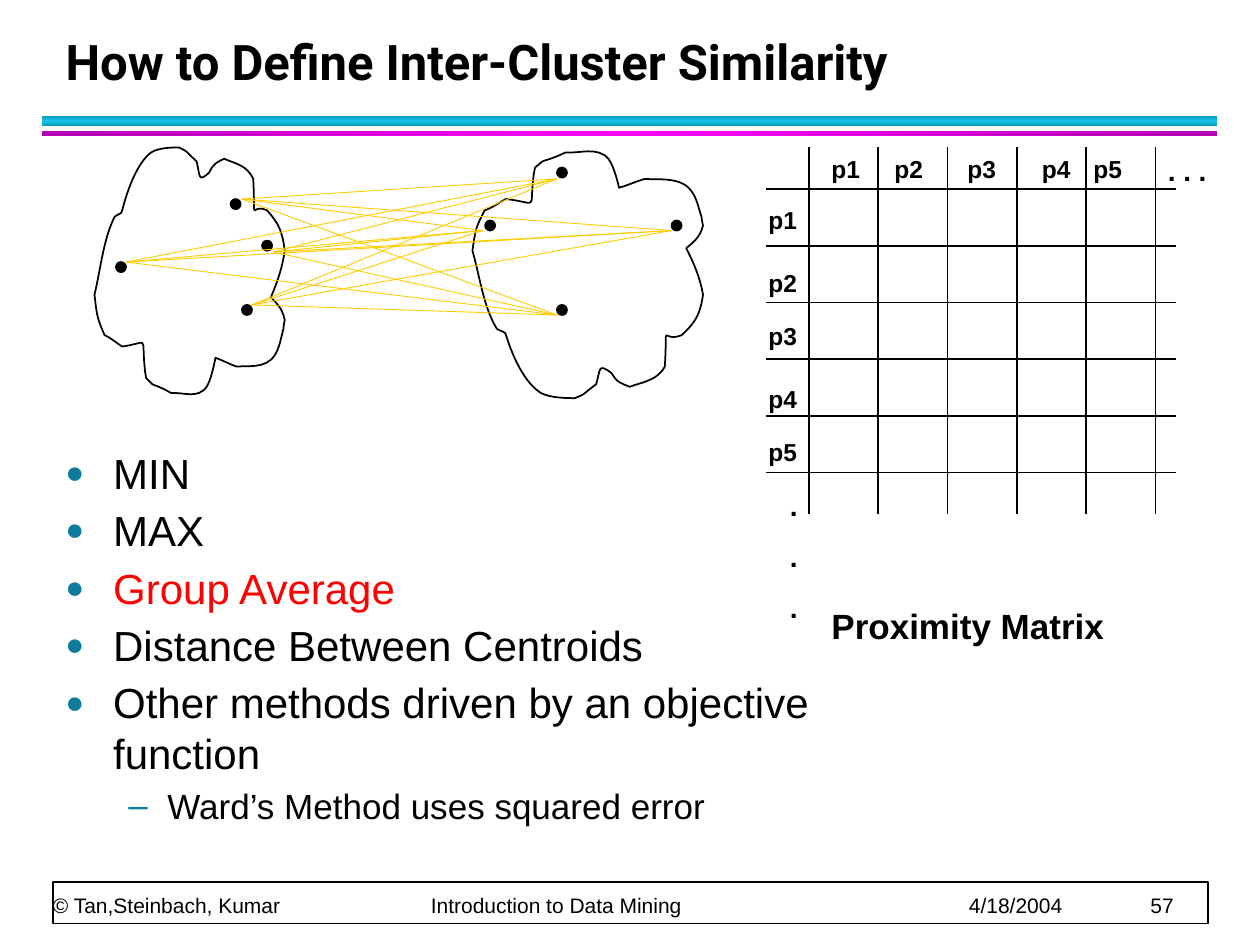
from copy import deepcopy
from dataclasses import dataclass

from lxml.etree import SubElement
from pptx import Presentation
from pptx.dml.color import RGBColor
from pptx.enum.shapes import MSO_CONNECTOR, MSO_SHAPE
from pptx.enum.text import MSO_ANCHOR, MSO_AUTO_SIZE, PP_ALIGN
from pptx.oxml.ns import qn
from pptx.util import Pt

PX = 9144  # EMU per px, 100 px to the inch
COLORS = {
    "black": "000000", "white": "FFFFFF", "red": "FF0000", "link": "FFCC00",
    "bullet": "0C7B9C", "cyan": "12C2E9", "dark cyan": "0E9BBA",
    "magenta": "FF00FF", "dark magenta": "B200B2",
}


@dataclass
class Dot:
    left: int
    top: int
    link_x: int
    link_y: int


@dataclass
class Bullet:
    text: str
    color: str = "black"
    level: int = 0


@dataclass
class BulletStyle:
    char: str
    margin: int
    hang: int
    percent: int
    size: int


LEFT_DOTS = [Dot(192, 242, 200, 242), Dot(208, 191, 217, 200),
             Dot(92, 208, 100, 208), Dot(183, 158, 192, 158)]
RIGHT_DOTS = [Dot(442, 242, 442, 250), Dot(385, 175, 383, 183),
              Dot(442, 133, 442, 142), Dot(533, 175, 533, 183)]

BULLETS = [Bullet("MIN"), Bullet("MAX"), Bullet("Group Average", "red"),
           Bullet("Distance Between Centroids"),
           Bullet("Other methods driven by an objective function"),
           Bullet("Ward’s Method uses squared error", level=1)]
BULLET_STYLES = [BulletStyle("●", 38, 38, 75, 24), BulletStyle("–", 81, 31, 100, 20)]

# Cluster outline: a start point, then two control points and an end per curve
CLUSTER_START = (91, 172)
CLUSTER_CURVES = [
    (82, 190, 80, 213, 75, 234), (77, 251, 77, 252, 83, 266),
    (88, 268, 92, 272, 97, 275), (119, 272, 112, 265, 115, 293),
    (115, 296, 116, 298, 116, 300), (123, 307, 119, 304, 126, 307),
    (129, 308, 136, 312, 136, 312), (145, 311, 157, 317, 164, 307),
    (168, 301, 171, 284, 171, 284), (177, 286, 182, 289, 188, 291),
    (196, 290, 211, 293, 218, 282), (222, 276, 223, 268, 225, 261),
    (225, 259, 226, 254, 226, 254), (224, 245, 221, 242, 215, 236),
    (220, 224, 224, 213, 226, 199), (224, 183, 221, 177, 212, 167),
    (198, 160, 203, 182, 201, 142), (196, 131, 187, 130, 178, 126),
    (172, 129, 170, 129, 166, 137), (157, 145, 159, 140, 156, 128),
    (145, 118, 150, 121, 142, 117), (138, 117, 126, 117, 120, 121),
    (109, 129, 101, 151, 97, 167), (97, 170, 93, 170, 91, 172),
]


def rgb(name: str) -> RGBColor:
    return RGBColor.from_string(COLORS[name])


def px(*lengths: float) -> list[int]:
    return [round(length * PX) for length in lengths]


def add_shape(slide, kind, box: tuple, fill: str, outlined: bool = True):
    shape = slide.shapes.add_shape(kind, *px(*box))
    shape.shadow.inherit = False
    shape.fill.solid()
    shape.fill.fore_color.rgb = rgb(fill)
    if outlined:
        shape.line.color.rgb = rgb("black")
        shape.line.width = Pt(1)
    else:
        shape.line.fill.background()
    return shape


def add_band(slide, box: tuple, edge: str, middle: str, angle: int) -> None:
    """Add a bar whose colour runs from edge to middle and back."""
    band = add_shape(slide, MSO_SHAPE.RECTANGLE, box, edge, outlined=False)
    band.fill.gradient()
    band.fill.gradient_angle = angle
    stop_list = band._element.spPr.find(".//" + qn("a:gsLst"))
    stop_list.append(deepcopy(stop_list[0]))
    for stop, position, color in zip(band.fill.gradient_stops, (0, 0.5, 1), (edge, middle, edge)):
        stop.position = position
        stop.color.rgb = rgb(color)


def add_line(slide, start: tuple, end: tuple, color: str = "black", width: float = 1) -> None:
    line = slide.shapes.add_connector(MSO_CONNECTOR.STRAIGHT, *px(*start, *end))
    line.line.color.rgb = rgb(color)
    line.line.width = Pt(width)
    SubElement(line._element.spPr, qn("a:effectLst"))


def format_font(paragraph, size: int, bold: bool = False, color: str = "black",
                name: str = "Arial") -> None:
    for run in paragraph.runs:
        run.font.name = name
        run.font.size = Pt(size)
        run.font.bold = bold
        run.font.color.rgb = rgb(color)


def add_text(slide, box: tuple, text: str, size: int, bold: bool = True, gap: int = 0):
    """Add a text box; gap is the space in points between its paragraphs."""
    text_frame = slide.shapes.add_textbox(*px(*box)).text_frame
    text_frame.word_wrap = True
    text_frame.text = text
    for index, paragraph in enumerate(text_frame.paragraphs):
        if index:
            paragraph.space_before = Pt(gap)
        format_font(paragraph, size, bold)
    return text_frame


def add_cluster(slide, left: int = 75, stretch: float = 1, flipped: bool = False) -> None:
    """Draw the outline through its curve ends, then bend each segment."""
    def place(x: int, y: int) -> tuple:
        return tuple(px(left + (x - 75) * stretch, 433 - y if flipped else y))

    builder = slide.shapes.build_freeform(*place(*CLUSTER_START), scale=1.0)
    builder.add_line_segments([place(*curve[4:]) for curve in CLUSTER_CURVES], close=True)
    outline = builder.convert_to_shape()
    outline.shadow.inherit = False
    outline.fill.background()
    outline.line.color.rgb = rgb("black")
    outline.line.width = Pt(1)
    segments = outline._element.spPr.findall(".//" + qn("a:lnTo"))
    for segment, curve in zip(segments, CLUSTER_CURVES):
        bend = SubElement(segment.getparent(), qn("a:cubicBezTo"))
        for index in (0, 2, 4):
            x, y = place(*curve[index:index + 2])
            SubElement(bend, qn("a:pt"), x=str(x - outline.left), y=str(y - outline.top))
        segment.getparent().replace(segment, bend)


def add_title(slide, text: str) -> None:
    title = slide.shapes.title
    title.left, title.top, title.width, title.height = px(42, 17, 906, 60)
    text_frame = title.text_frame
    text_frame.text = text
    text_frame.auto_size = MSO_AUTO_SIZE.NONE
    text_frame.vertical_anchor = MSO_ANCHOR.BOTTOM
    paragraph = text_frame.paragraphs[0]
    paragraph.alignment = PP_ALIGN.LEFT
    paragraph.line_spacing = Pt(36)
    format_font(paragraph, 28, bold=True, name="Roboto")


def add_footer(slide) -> None:
    add_shape(slide, MSO_SHAPE.RECTANGLE, (42, 700, 917, 33), "white")
    text = "© Tan,Steinbach, Kumar\tIntroduction to Data Mining\t4/18/2004\t57"
    text_frame = add_text(slide, (42, 672, 915, 56), text, 12, bold=False)
    text_frame.margin_left = text_frame.margin_right = 0
    text_frame.margin_top = text_frame.margin_bottom = 0
    text_frame.vertical_anchor = MSO_ANCHOR.BOTTOM
    paragraph = text_frame.paragraphs[0]
    tabs = SubElement(paragraph._p.get_or_add_pPr(), qn("a:tabLst"))
    for position in px(300, 727, 871):
        SubElement(tabs, qn("a:tab"), pos=str(position), algn="l")
    paragraph.line_spacing = Pt(20)


def add_matrix(slide) -> None:
    for index in range(6):
        x, y = 642 + 55 * index, 150 + 45 * index
        add_line(slide, (x, 117), (x, 408))
        add_line(slide, (608, y), (933, y))
    columns, rows = (650, 700, 758, 817, 858), (158, 208, 250, 300, 342)
    for number, (left, top) in enumerate(zip(columns, rows), start=1):
        add_text(slide, (left, 117, 58, 34), f"p{number}", 14)
        add_text(slide, (600, top, 58, 34), f"p{number}", 14)
    add_text(slide, (917, 117, 58, 37), ". . .", 16)
    add_text(slide, (617, 383, 58, 118), ".\n.\n.", 16, gap=10)
    add_text(slide, (650, 475, 275, 44), "Proximity Matrix", 20)


def add_clusters(slide) -> None:
    add_cluster(slide)
    add_cluster(slide, left=375, stretch=183 / 151, flipped=True)
    for dot in LEFT_DOTS + RIGHT_DOTS:
        add_shape(slide, MSO_SHAPE.OVAL, (dot.left, dot.top, 8, 8), "black")
    for start in LEFT_DOTS:
        for end in RIGHT_DOTS:
            add_line(slide, (start.link_x, start.link_y), (end.link_x, end.link_y), "link", 0.5)


def add_bullets(slide) -> None:
    text = "\n".join(bullet.text for bullet in BULLETS)
    text_frame = add_text(slide, (42, 350, 633, 342), text, 24, bold=False)
    for index, (paragraph, bullet) in enumerate(zip(text_frame.paragraphs, BULLETS)):
        style = BULLET_STYLES[bullet.level]
        paragraph.level = bullet.level
        properties = paragraph._p.get_or_add_pPr()
        properties.set("marL", str(style.margin * PX))
        properties.set("indent", str(-style.hang * PX))
        color = SubElement(properties, qn("a:buClr"))
        SubElement(color, qn("a:srgbClr"), val=COLORS["bullet"])
        SubElement(properties, qn("a:buSzPct"), val=str(style.percent * 1000))
        SubElement(properties, qn("a:buFont"), typeface="Arial")
        SubElement(properties, qn("a:buChar"), char=style.char)
        paragraph.space_before = Pt(2 if index else 0)
        paragraph.space_after = Pt(2)
        format_font(paragraph, style.size, color=bullet.color)


def main() -> None:
    presentation = Presentation()
    presentation.slide_width, presentation.slide_height = px(1000, 750)
    slide = presentation.slides.add_slide(presentation.slide_layouts[5])
    add_band(slide, (33, 92, 933, 8), "dark cyan", "cyan", 90)
    add_band(slide, (33, 104, 933, 4), "dark magenta", "magenta", 0)
    add_footer(slide)
    add_title(slide, "How to Define Inter-Cluster Similarity")
    add_matrix(slide)
    add_clusters(slide)
    add_bullets(slide)
    presentation.save("out.pptx")


if __name__ == "__main__":
    main()
